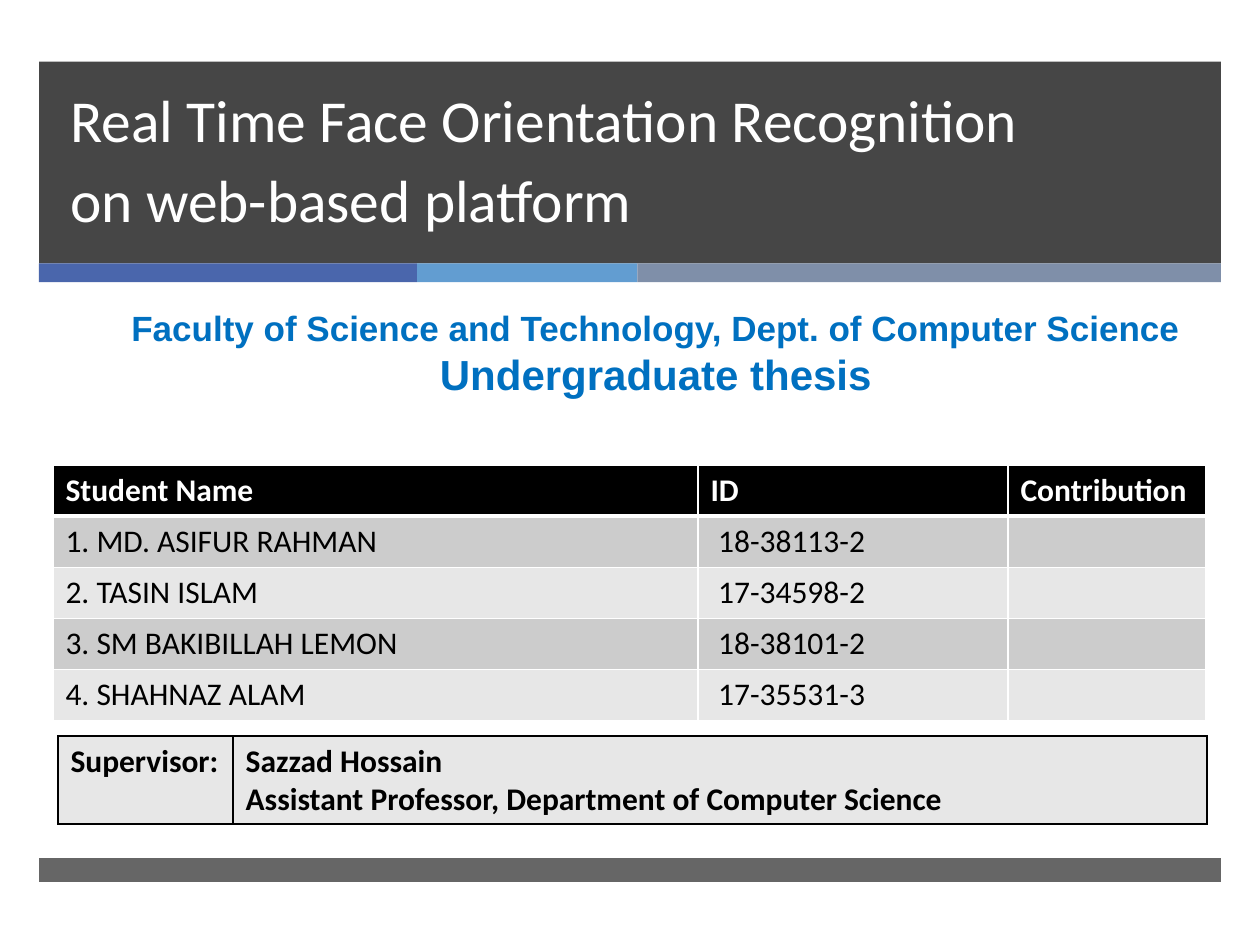
from lxml import etree
from pptx import Presentation
from pptx.dml.color import RGBColor
from pptx.enum.shapes import MSO_SHAPE
from pptx.enum.text import MSO_ANCHOR, PP_ALIGN
from pptx.oxml import parse_xml
from pptx.oxml.ns import nsdecls, qn
from pptx.util import Inches, Pt

BLACK = RGBColor(0x00, 0x00, 0x00)
WHITE = RGBColor(0xFF, 0xFF, 0xFF)
CHARCOAL = RGBColor(0x26, 0x26, 0x26)
INDIGO = RGBColor(0x4A, 0x66, 0xAC)
SKY = RGBColor(0x62, 0x9D, 0xD1)
SLATE = RGBColor(0x7F, 0x8F, 0xA9)
HEADING = RGBColor(0x00, 0x70, 0xC0)
DARK_BAND = RGBColor(0xCC, 0xCC, 0xCC)
LIGHT_BAND = RGBColor(0xE7, 0xE7, 0xE7)


class SlideBuilder:
    font = "Calibri"
    table_size = 18

    def __init__(self, prs):
        self.s = prs.slides.add_slide(prs.slide_layouts[6])

    def bar(self, left, top, width, height, color, opacity=100):
        sp = self.s.shapes.add_shape(MSO_SHAPE.RECTANGLE, Inches(left), Inches(top),
                                     Inches(width), Inches(height))
        sp.shadow.inherit = False
        sp.fill.solid()
        sp.fill.fore_color.rgb = color
        sp.line.fill.background()
        if opacity < 100:
            clr = sp.fill._xPr.find(qn("a:solidFill"))[0]
            etree.SubElement(clr, qn("a:alpha"), val=str(opacity * 1000))

    def run(self, p, text, size, color, bold=False, font=None):
        r = p.add_run()
        r.text = text
        r.font.name = font or self.font
        r.font.size = Pt(size)
        r.font.bold = bold
        r.font.color.rgb = color

    def textbox(self, left, top, width, height, anchor=MSO_ANCHOR.TOP):
        tf = self.s.shapes.add_textbox(Inches(left), Inches(top),
                                       Inches(width), Inches(height)).text_frame
        tf.word_wrap = True
        tf.vertical_anchor = anchor
        return tf

    def table(self, left, top, cols, row_height, rows):
        table = self.s.shapes.add_table(
            len(rows), len(cols), Inches(left), Inches(top),
            Inches(sum(cols)), Inches(row_height * len(rows))).table
        for col, width in zip(table.columns, cols):
            col.width = Inches(width)
        for row in table.rows:
            row.height = Inches(row_height)
        return table

    def cell(self, cell, text, fill, color=BLACK, bold=False, border=WHITE, top=1, bottom=1):
        tf = cell.text_frame
        for i, line in enumerate(text.split("\n")):
            p = tf.paragraphs[0] if i == 0 else tf.add_paragraph()
            p.font.size = Pt(self.table_size)
            if line:
                self.run(p, line, self.table_size, color, bold)
        tcPr = cell._tc.get_or_add_tcPr()
        for side, width in (("L", 1), ("R", 1), ("T", top), ("B", bottom)):
            tcPr.append(parse_xml(
                f'<a:ln{side} {nsdecls("a")} w="{Pt(width)}"><a:solidFill>'
                f'<a:srgbClr val="{border}"/></a:solidFill></a:ln{side}>'))
        cell.fill.solid()
        cell.fill.fore_color.rgb = fill


def main():
    prs = Presentation()
    prs.slide_width, prs.slide_height = Inches(10), Inches(7.5)
    b = SlideBuilder(prs)

    # Title band, colour strip and footer bar
    b.bar(0.31, 0.49, 9.38, 1.6, CHARCOAL, 85)
    left = 0.31
    for width, color in ((3, INDIGO), (1.75, SKY), (4.63, SLATE)):
        b.bar(left, 2.09, width, 0.15, color)
        left += width
    b.bar(0.31, 6.81, 9.38, 0.19, CHARCOAL, 70)

    # Title
    p = b.textbox(0.46, 0.72, 8.54, 1.19, MSO_ANCHOR.BOTTOM).paragraphs[0]
    p.line_spacing = Pt(46)
    b.run(p, "Real Time Face Orientation Recognition", 34, WHITE)
    p.add_line_break()
    b.run(p, "on web-based platform", 34, WHITE)

    # Faculty heading
    tf = b.textbox(0.27, 2.38, 9.87, 0.84)
    faculty, thesis = tf.paragraphs[0], tf.add_paragraph()
    faculty.alignment = thesis.alignment = PP_ALIGN.CENTER
    b.run(faculty, "Faculty of Science and Technology, Dept. of Computer Science",
          20, HEADING, True, "Arial")
    b.run(thesis, "Undergraduate thesis", 24, HEADING, True, "Arial")

    # Student table
    students = [
        ("Student Name", "ID", "Contribution"),
        ("1. MD. ASIFUR RAHMAN", "18-38113-2", ""),
        ("2. TASIN ISLAM", "17-34598-2", ""),
        ("3. SM BAKIBILLAH LEMON", "18-38101-2", ""),
        ("4. SHAHNAZ ALAM", "17-35531-3", ""),
    ]
    table = b.table(0.42, 3.69, (5.12, 2.46, 1.57), 0.406, students)
    for i, row in enumerate(students):
        for j, text in enumerate(row):
            cell = table.cell(i, j)
            if i == 0:
                b.cell(cell, text, BLACK, WHITE, True, bottom=3)
            else:
                b.cell(cell, text, DARK_BAND if i % 2 else LIGHT_BAND, top=3 if i == 1 else 1)
                if j == 1:
                    cell.margin_left = Inches(0.16)

    # Supervisor table
    supervisor = ("Supervisor:",
                  "Sazzad Hossain\nAssistant Professor, Department of Computer Science")
    table = b.table(0.46, 5.84, (1.39, 7.73), 0.7, [supervisor])
    for j, text in enumerate(supervisor):
        b.cell(table.cell(0, j), text, LIGHT_BAND, bold=True, border=BLACK)

    prs.save("out.pptx")


if __name__ == "__main__":
    main()
